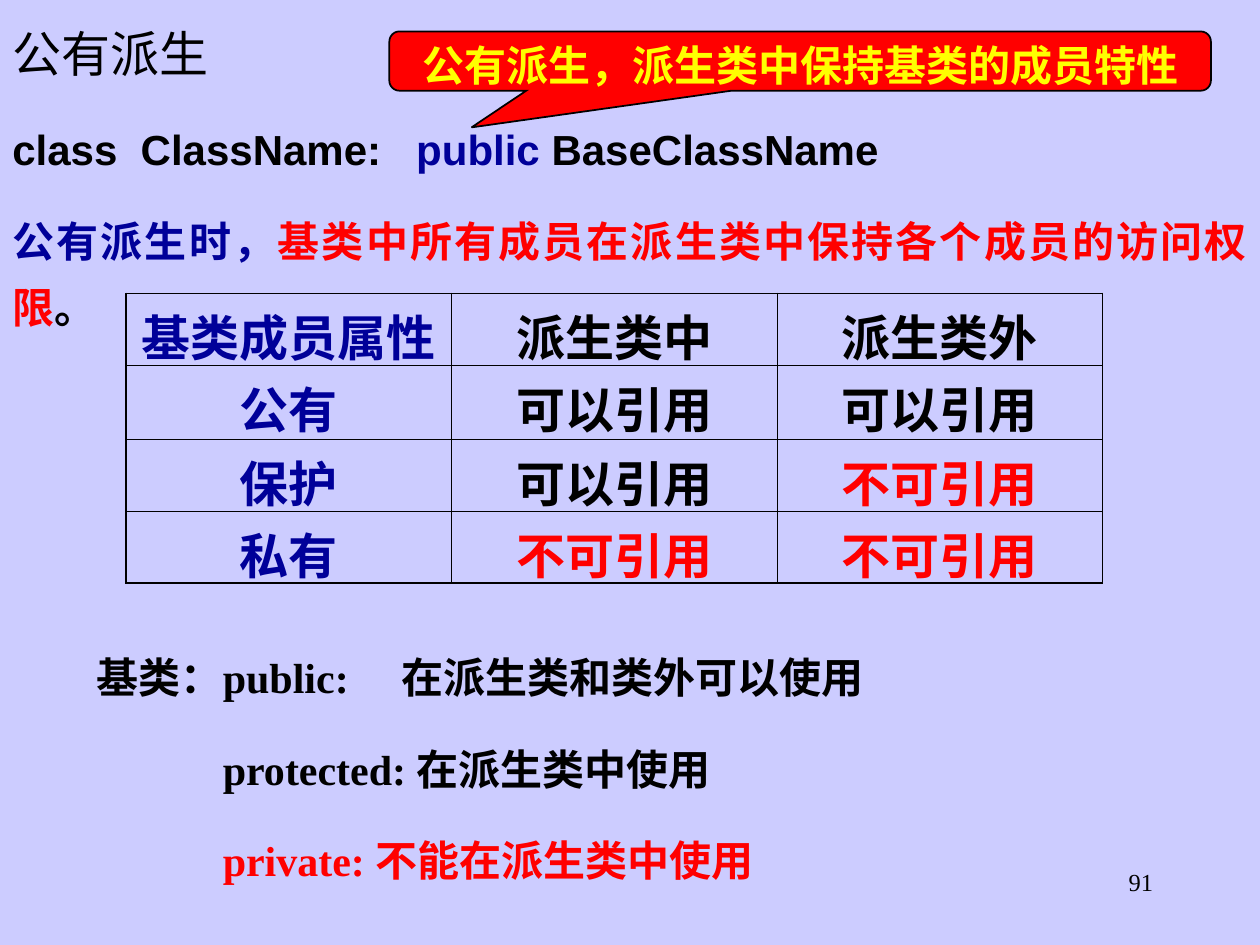
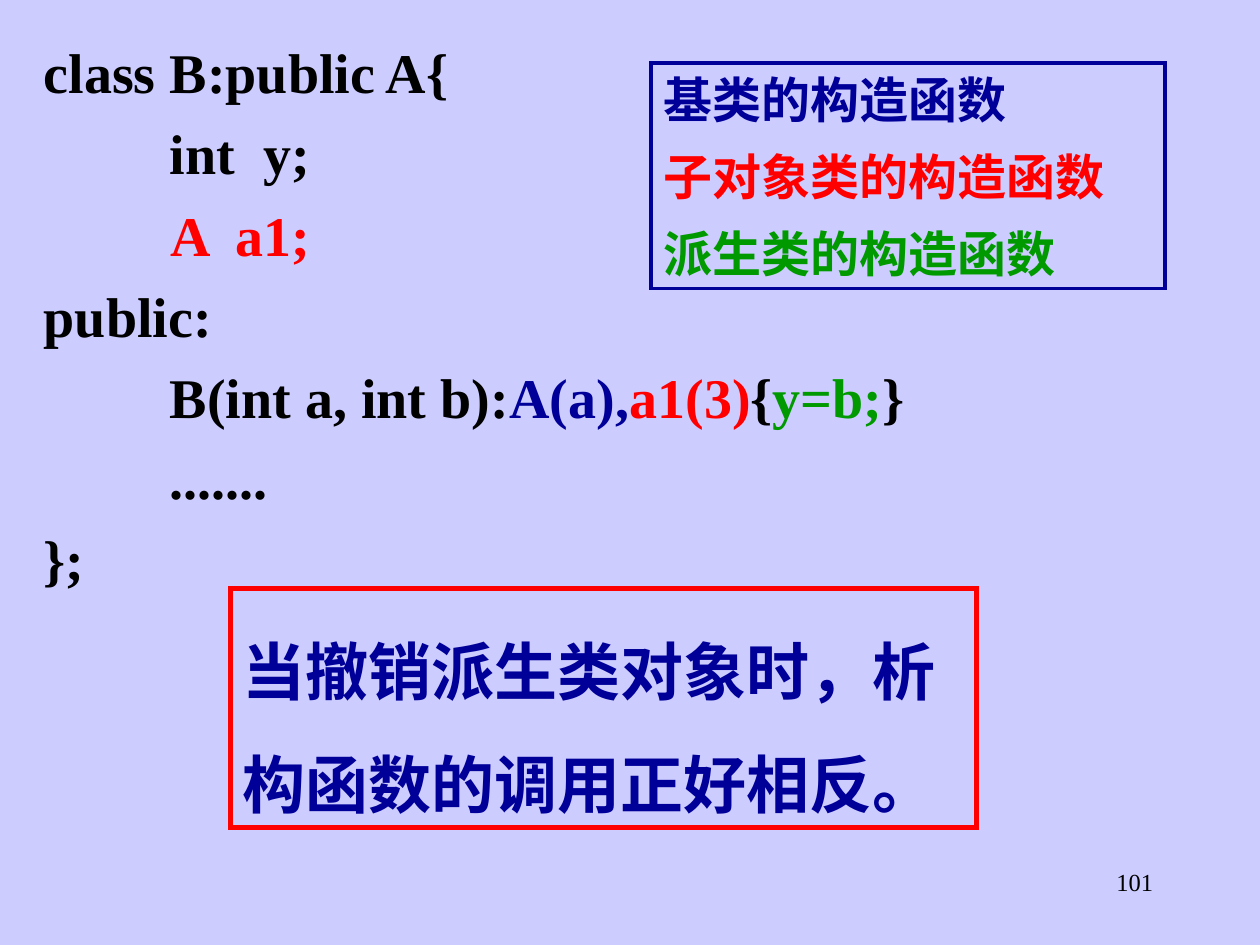
from lxml import etree
from pptx import Presentation
from pptx.dml.color import RGBColor
from pptx.enum.shapes import MSO_SHAPE
from pptx.enum.text import MSO_ANCHOR, PP_ALIGN
from pptx.oxml.ns import qn
from pptx.util import Inches, Pt

CENTER, LEFT, RIGHT, JUSTIFY = PP_ALIGN.CENTER, PP_ALIGN.LEFT, PP_ALIGN.RIGHT, PP_ALIGN.JUSTIFY
TOP, MIDDLE = MSO_ANCHOR.TOP, MSO_ANCHOR.MIDDLE
CALLOUT, RECTANGLE = MSO_SHAPE.ROUNDED_RECTANGULAR_CALLOUT, MSO_SHAPE.RECTANGLE

COLORS = {
    "background": "CCCCFF", "black": "000000", "blue": "000099",
    "red": "FF0000", "yellow": "FFFF00", "green": "009900",
}
SERIF, SANS = "Times New Roman", "Arial"

PUBLIC_DERIVATION = [
    [("公有派生", "black")],
    [("class  ClassName:   ", "black"), ("public", "blue"), (" BaseClassName", "black")],
    [("公有派生时，", "blue"),
     ("基类中所有成员在派生类中保持各个成员的访问权限", "red"),
     ("。", "black")],
]
DERIVATION_FONTS = [(SANS, 28, False), (SANS, 24, True), (SERIF, 24, True)]
SUMMARY = [[("公有派生，派生类中保持基类的成员特性", "yellow")]]
ACCESS_TABLE = [
    ["基类成员属性", "派生类中", "派生类外"],
    ["公有", "可以引用", "可以引用"],
    ["保护", "可以引用", "不可引用"],
    ["私有", "不可引用", "不可引用"],
]
ACCESS_ROW_HEIGHTS = [0.57, 0.59, 0.57, 0.57]
ACCESS_WIDTH = 7.75
BASE_MEMBERS = [
    [("基类：public:\t在派生类和类外可以使用", "black")],
    [("\tprotected: 在派生类中使用", "black")],
    [("\tprivate: 不能在派生类中使用", "red")],
]
MEMBER_TABS = [1, 2.42]

CLASS_CODE = [
    [("class B:public A{", "black")],
    [("         int  y;", "black")],
    [("         ", "black"), ("A  a1;", "red")],
    [("public:", "black")],
    [("         B(int a, int b):", "black"), ("A(a),", "blue"), ("a1(3)", "red"),
     ("{", "black"), ("y=b;", "green"), ("}", "black")],
    [("         .......", "black")],
    [("};", "black")],
]
CONSTRUCTOR_ORDER = [
    [("基类的构造函数", "blue")],
    [("子对象类的构造函数", "red")],
    [("派生类的构造函数", "green")],
]
DESTRUCTOR_NOTE = [[("当撤销派生类对象时，析构函数的调用正好相反。", "blue")]]


def rgb(name):
    return RGBColor.from_string(COLORS[name])


def add_tabs(paragraph, stops):
    tabs = etree.SubElement(paragraph._p.get_or_add_pPr(), qn("a:tabLst"))
    for stop in stops:
        etree.SubElement(tabs, qn("a:tab"), pos=str(Inches(stop)), algn="l")


def write(frame, lines, fonts, align=LEFT, spacing=None, before=0, tabs=(),
          insets=(0.1, 0.05), wrap=True):
    frame.word_wrap = wrap
    frame.vertical_anchor = TOP
    frame.margin_left = frame.margin_right = Inches(insets[0])
    frame.margin_top = frame.margin_bottom = Inches(insets[1])
    for index, line in enumerate(lines):
        paragraph = frame.add_paragraph() if index else frame.paragraphs[0]
        paragraph.alignment = align
        paragraph._p.get_or_add_pPr().set("hangingPunct", "0")
        if spacing:
            paragraph.line_spacing = spacing
        paragraph.space_before = Pt(before if index else 0)
        if tabs:
            add_tabs(paragraph, tabs)
        font, size, bold = fonts[index % len(fonts)]
        for text, color in line:
            run = paragraph.add_run()
            run.text = text
            run.font.name, run.font.size, run.font.bold = font, Pt(size), bold
            run.font.color.rgb = rgb(color)


def bold_serif(size):
    return [(SERIF, size, True)]


def add_text(slide, box, lines, fonts, **style):
    area = slide.shapes.add_textbox(*map(Inches, box))
    write(area.text_frame, lines, fonts, **style)


def add_panel(slide, kind, box, line, width, fill=None):
    panel = slide.shapes.add_shape(kind, *map(Inches, box))
    panel.shadow.inherit = False
    if fill:
        panel.fill.solid()
        panel.fill.fore_color.rgb = rgb(fill)
    else:
        panel.fill.background()
    panel.line.color.rgb = rgb(line)
    panel.line.width = Pt(width)
    etree.SubElement(panel.line._get_or_add_ln(), qn("a:miter"), lim="800000")
    return panel


def add_borders(cell, widths):
    properties = cell._tc.get_or_add_tcPr()
    for position, (side, width) in enumerate(widths.items()):
        border = etree.Element(qn(f"a:{side}"), w=str(Pt(width)))
        fill = etree.SubElement(border, qn("a:solidFill"))
        etree.SubElement(fill, qn("a:srgbClr"), val=COLORS["black"])
        properties.insert(position, border)


def add_access_table(slide, left, top):
    rows, columns = len(ACCESS_TABLE), len(ACCESS_TABLE[0])
    table = slide.shapes.add_table(
        rows, columns, Inches(left), Inches(top),
        Inches(ACCESS_WIDTH), Inches(sum(ACCESS_ROW_HEIGHTS))).table
    table.first_row = table.horz_banding = False
    for column in table.columns:
        column.width = Inches(ACCESS_WIDTH / columns)
    for r, values in enumerate(ACCESS_TABLE):
        table.rows[r].height = Inches(ACCESS_ROW_HEIGHTS[r])
        for c, value in enumerate(values):
            cell = table.cell(r, c)
            color = "blue" if c == 0 else "red" if value == "不可引用" else "black"
            write(cell.text_frame, [[(value, color)]], bold_serif(28), align=CENTER)
            cell.vertical_anchor = MIDDLE
            cell.fill.background()
            outer = {"lnL": c == 0, "lnR": c == columns - 1, "lnT": r == 0, "lnB": r == rows - 1}
            add_borders(cell, {side: 1.08 if edge else 0.45 for side, edge in outer.items()})


def add_slide(deck, number):
    slide = deck.slides.add_slide(deck.slide_layouts[6])
    slide.background.fill.solid()
    slide.background.fill.fore_color.rgb = rgb("background")
    add_text(slide, (7.17, 6.83, 2.08, 0.5), [[(number, "black")]], [(SERIF, 14, False)], align=RIGHT)
    return slide


def build_public_derivation(deck):
    slide = add_slide(deck, "91")
    add_text(slide, (0, 0, 10, 2.17), PUBLIC_DERIVATION, DERIVATION_FONTS,
             align=JUSTIFY, spacing=1.3, before=15)
    callout = add_panel(slide, CALLOUT, (3.09, 0.25, 6.52, 0.47), "black", 1, "red")
    for index, value in enumerate((-0.4, 1.12, 0.17)):
        callout.adjustments[index] = value
    write(callout.text_frame, SUMMARY, bold_serif(24), align=CENTER, spacing=1.1,
          insets=(0.02, 0), wrap=False)
    add_access_table(slide, 1, 2.33)
    add_text(slide, (0.67, 5, 7.83, 2.08), BASE_MEMBERS, bold_serif(24),
             spacing=1.3, before=15, tabs=MEMBER_TABS)


def build_constructor_order(deck):
    slide = add_slide(deck, "101")
    add_text(slide, (0.25, 0.25, 7.67, 4.5), CLASS_CODE, bold_serif(32), before=8)
    note = add_panel(slide, RECTANGLE, (1.83, 4.67, 5.92, 1.9), "red", 3)
    write(note.text_frame, DESTRUCTOR_NOTE, bold_serif(36), spacing=1.5)
    order = add_panel(slide, RECTANGLE, (5.17, 0.5, 4.08, 1.79), "blue", 2.25)
    write(order.text_frame, CONSTRUCTOR_ORDER, bold_serif(28), before=10.5)


def main():
    deck = Presentation()
    deck.slide_width, deck.slide_height = Inches(10), Inches(7.5)
    build_public_derivation(deck)
    build_constructor_order(deck)
    deck.save("out.pptx")


if __name__ == "__main__":
    main()
